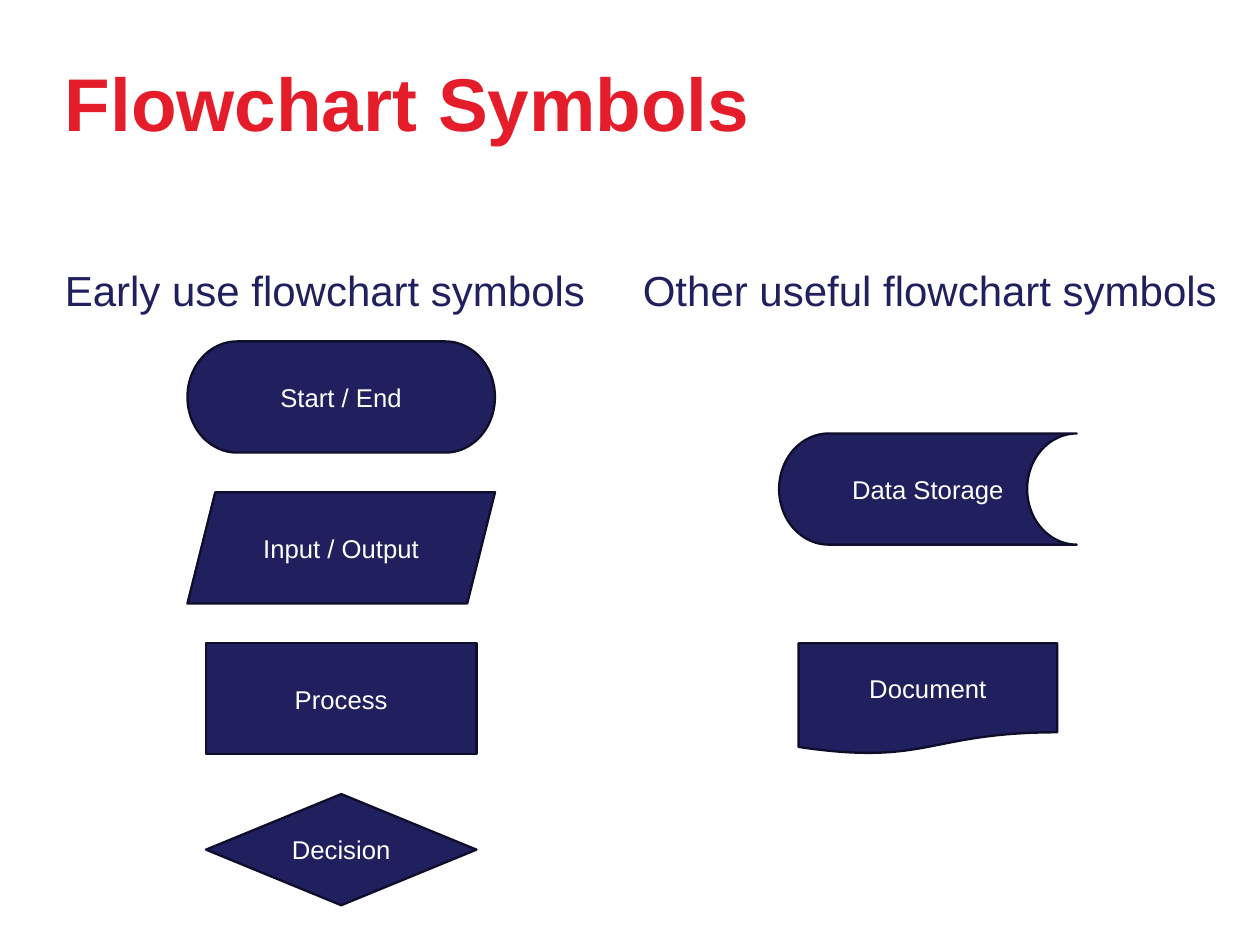
import pptx
import pptx.util
import pptx.dml.color
import pptx.enum.shapes
import pptx.enum.text
import lxml.etree

Cm, Pt = pptx.util.Cm, pptx.util.Pt
MSO = pptx.enum.shapes.MSO_SHAPE
ALIGN = pptx.enum.text.PP_ALIGN
ANCHOR = pptx.enum.text.MSO_ANCHOR

COLORS = {"red": "E51D2A", "navy": "21205F", "edge": "0E0E2A", "white": "FFFFFF"}
TITLE = "Flowchart Symbols"
HEADINGS = [
    ("Early use flowchart symbols", 0.79, 8.74),
    ("Other useful flowchart symbols", 9.53, 9.27),
]
ROW_TOP, ROW_STEP, SYMBOL_HEIGHT = 5.16, 2.28, 1.68
EARLY_CENTER, OTHER_CENTER = 5.16, 14.03
SYMBOLS = [
    ("Start / End", MSO.FLOWCHART_TERMINATOR, EARLY_CENTER, 0, 4.65),
    ("Input / Output", MSO.PARALLELOGRAM, EARLY_CENTER, 1, 4.65),
    ("Process", MSO.RECTANGLE, EARLY_CENTER, 2, 4.09),
    ("Decision", MSO.FLOWCHART_DECISION, EARLY_CENTER, 3, 4.09),
    ("Data Storage", MSO.FLOWCHART_STORED_DATA, OTHER_CENTER, 0.61, 4.5),
    ("Document", MSO.FLOWCHART_DOCUMENT, OTHER_CENTER, 2, 3.91),
]


def rgb(name):
    return pptx.dml.color.RGBColor.from_string(COLORS[name])


def write(sp, text, size, color, bold=False, align=ALIGN.LEFT,
          anchor=ANCHOR.TOP, inset_x=0.19, inset_y=0.1):
    tf = sp.text_frame
    tf.word_wrap = True
    tf.auto_size = pptx.enum.text.MSO_AUTO_SIZE.NONE
    tf.vertical_anchor = anchor
    tf.margin_left = tf.margin_right = Cm(inset_x)
    tf.margin_top = tf.margin_bottom = Cm(inset_y)
    p = tf.paragraphs[0]
    p.alignment = align
    p.line_spacing = 1.0
    p.space_before = Pt(0)
    r = p.add_run()
    r.text = text
    r.font.name = "Arial"
    r.font.size = Pt(size)
    r.font.bold = bold
    r.font.color.rgb = rgb(color)
    return p


def place(sp, left, top, width, height):
    sp.left, sp.top, sp.width, sp.height = Cm(left), Cm(top), Cm(width), Cm(height)


def remove_bullet(p):
    pPr = p._p.get_or_add_pPr()
    pPr.set("marL", "0")
    pPr.set("indent", "0")
    lxml.etree.SubElement(pPr, pptx.oxml.ns.qn("a:buNone"))


def main():
    prs = pptx.Presentation()
    prs.slide_width, prs.slide_height = Cm(19.05), Cm(14.28)
    slide = prs.slides.add_slide(prs.slide_layouts.get_by_name("Two Content"))

    title, *bodies = slide.placeholders
    place(title, 0.79, 0.76, 15.67, 2.77)
    write(title, TITLE, 32, "red", bold=True)

    for sp, (text, left, width) in zip(bodies, HEADINGS):
        place(sp, left, 3.81, width, 8.86)
        remove_bullet(write(sp, text, 18, "navy", inset_y=0.19))

    for text, kind, center, row, width in SYMBOLS:
        sp = slide.shapes.add_shape(
            kind, Cm(center - width / 2), Cm(ROW_TOP + row * ROW_STEP),
            Cm(width), Cm(SYMBOL_HEIGHT))
        sp.shadow.inherit = False
        sp.fill.solid()
        sp.fill.fore_color.rgb = rgb("navy")
        sp.line.color.rgb = rgb("edge")
        sp.line.width = Pt(1)
        write(sp, text, 11, "white", align=ALIGN.CENTER, anchor=ANCHOR.MIDDLE)

    prs.save("out.pptx")


if __name__ == "__main__":
    main()
